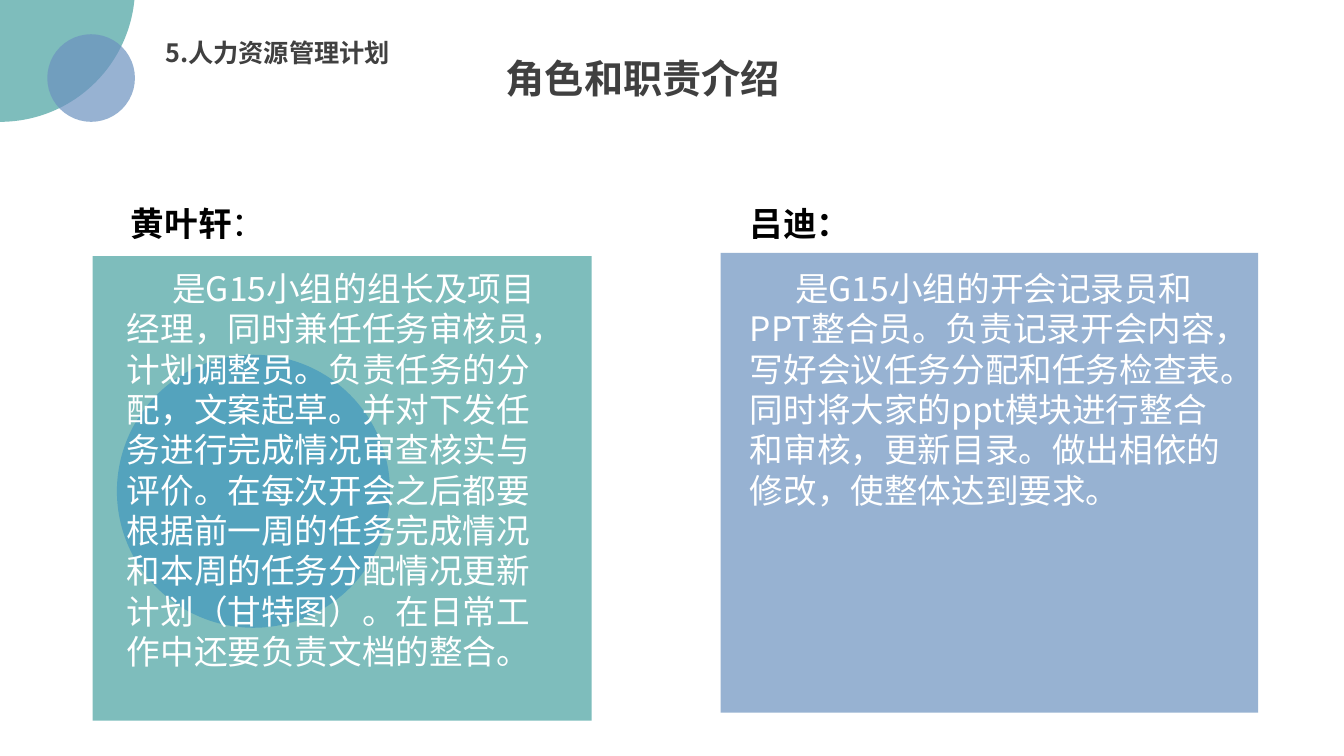
from dataclasses import dataclass

from lxml.etree import SubElement
from pptx import Presentation
from pptx.dml.color import RGBColor
from pptx.enum.shapes import MSO_SHAPE as Shape
from pptx.enum.text import MSO_AUTO_SIZE as AutoSize
from pptx.oxml.ns import qn
from pptx.slide import Slide
from pptx.util import Inches, Pt


@dataclass(frozen=True)
class Theme:
    font: str = "Noto Sans CJK SC"
    teal: str = "48A2A0"
    blue: str = "6C92C0"
    accent: str = "0070C0"
    heading: str = "404040"
    name: str = "000000"
    body: str = "FFFFFF"
    title_size: int = 28
    body_size: int = 24
    section_size: int = 18


@dataclass(frozen=True)
class Box:
    """Shares of the slide: left and width of its width, top and height of its height."""
    left: float
    top: float
    width: float
    height: float

    def emu(self) -> tuple[int, int, int, int]:
        return (int(W * self.left / 100), int(H * self.top / 100),
                int(W * self.width / 100), int(H * self.height / 100))


@dataclass(frozen=True)
class Figure:
    kind: Shape
    box: Box
    color: str
    opacity: int = 70


@dataclass(frozen=True)
class Member:
    name: str
    colon_bold: bool
    name_box: Box
    duty: str
    duty_box: Box


THEME = Theme()
W, H = Inches(13.33), Inches(7.5)
ASPECT = W / H
DUTY_INDENT = Inches(0.45)


def circle(left: float, top: float, diameter: float) -> Box:
    """Box of a circle whose diameter is a share of the slide's width."""
    return Box(left, top, diameter, diameter * ASPECT)


FIGURES = [
    Figure(Shape.RECTANGLE, Box(53.62, 33.47, 40, 60.8), THEME.blue),
    Figure(Shape.RECTANGLE, Box(6.9, 33.87, 37.12, 61.47), THEME.teal),
    Figure(Shape.OVAL, circle(8.7, 46.93, 20.32), THEME.accent, 33),
    Figure(Shape.OVAL, circle(-10.05, -19.6, 20.1), THEME.teal),
    Figure(Shape.OVAL, circle(3.52, 4.53, 6.52), THEME.blue),
]

MEMBERS = [
    Member("黄叶轩", False, Box(9, 26.13, 13.12, 6.67),
           "是G15小组的组长及项目经理，同时兼任任务审核员，计划调整员。"
           "负责任务的分配，文案起草。并对下发任务进行完成情况审查核实与评价。"
           "在每次开会之后都要根据前一周的任务完成情况和本周的任务分配情况"
           "更新计划（甘特图）。在日常工作中还要负责文档的整合。",
           Box(8.7, 34.8, 32.48, 60.53)),
    Member("吕迪", True, Box(55.05, 26.13, 13.12, 6.67),
           "是G15小组的开会记录员和PPT整合员。负责记录开会内容，"
           "写好会议任务分配和任务检查表。同时将大家的ppt模块进行整合和审核，"
           "更新目录。做出相依的修改，使整体达到要求。",
           Box(55.05, 34.8, 37.2, 33.6)),
]


def add_figure(s: Slide, figure: Figure) -> None:
    sp = s.shapes.add_shape(figure.kind, *figure.box.emu())
    sp.shadow.inherit = False
    sp.line.fill.background()
    sp.fill.solid()
    sp.fill.fore_color.rgb = RGBColor.from_string(figure.color)
    color = sp.fill._xPr.find(qn("a:solidFill"))[0]
    SubElement(color, qn("a:alpha")).set("val", str(figure.opacity * 1000))


def add_text(s: Slide, box: Box, *runs: tuple[str, bool], size: int, color: str,
             wrap: bool = True, indent: int = 0) -> None:
    """Add one paragraph made of (text, bold) runs."""
    tf = s.shapes.add_textbox(*box.emu()).text_frame
    tf.word_wrap = wrap
    tf.auto_size = AutoSize.SHAPE_TO_FIT_TEXT
    p = tf.paragraphs[0]
    if indent:
        p._p.get_or_add_pPr().set("indent", str(indent))
    for text, bold in runs:
        r = p.add_run()
        r.text = text
        r.font.name = THEME.font
        r.font.size = Pt(size)
        r.font.bold = bold
        r.font.color.rgb = RGBColor.from_string(color)
        SubElement(r._r.get_or_add_rPr(), qn("a:ea")).set("typeface", THEME.font)


def main() -> None:
    prs = Presentation()
    prs.slide_width, prs.slide_height = W, H
    s = prs.slides.add_slide(prs.slide_layouts[6])

    # Panels and circles
    for figure in FIGURES:
        add_figure(s, figure)

    # Headings
    add_text(s, Box(36.9, 6.53, 21.98, 7.6), ("角色和职责介绍", True),
             size=THEME.title_size, color=THEME.heading, wrap=False)
    add_text(s, Box(11.55, 4.27, 18.68, 5.33), ("5.人力资源管理计划", True),
             size=THEME.section_size, color=THEME.heading, wrap=False)

    # Team members and their duties
    for m in MEMBERS:
        add_text(s, m.name_box, (m.name, True), ("：", m.colon_bold),
                 size=THEME.body_size, color=THEME.name)
        add_text(s, m.duty_box, (m.duty, False),
                 size=THEME.body_size, color=THEME.body, indent=DUTY_INDENT)

    prs.save("out.pptx")


if __name__ == "__main__":
    main()
